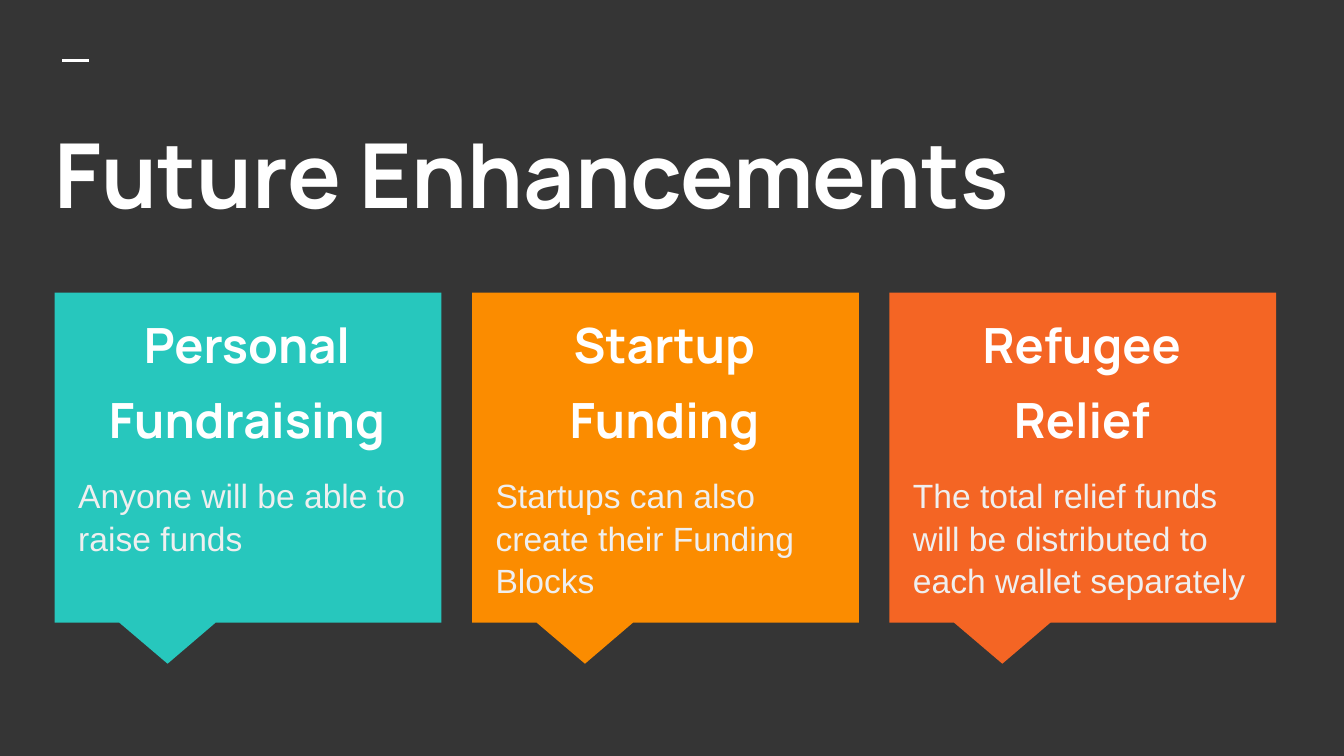
from pptx import Presentation
from pptx.dml.color import RGBColor
from pptx.enum.shapes import MSO_CONNECTOR, MSO_SHAPE
from pptx.enum.text import MSO_ANCHOR as ANCHOR, PP_ALIGN as ALIGN
from pptx.oxml.ns import qn
from pptx.util import Pt
from lxml import etree

DARK = RGBColor(0x35, 0x35, 0x35)
WHITE = RGBColor(0xFF, 0xFF, 0xFF)
PALE = RGBColor(0xEF, 0xEF, 0xEF)
TEAL = RGBColor(0x27, 0xC7, 0xBD)
AMBER = RGBColor(0xFB, 0x8C, 0x00)
ORANGE = RGBColor(0xF4, 0x65, 0x24)

CARDS = [
    (TEAL, ["Personal", "Fundraising"], "Anyone will be able to raise funds"),
    (AMBER, ["Startup", "Funding"],
     "Startups can also create their Funding Blocks"),
    (ORANGE, ["Refugee", "Relief"],
     "The total relief funds will be distributed to each wallet separately"),
]
CARD_LEFT, CARD_TOP, CARD_W, CARD_H, CARD_STEP = 29.3, 156.75, 207.2, 176.75, 223.6


def add_text(s, box, lines, size, font, color, bold=False, align=ALIGN.LEFT,
             anchor=ANCHOR.TOP, gap=0, spacing=1.0):
    tf = s.shapes.add_textbox(*map(Pt, box)).text_frame
    tf.word_wrap = True
    tf.vertical_anchor = anchor
    tf.margin_left = tf.margin_right = tf.margin_top = tf.margin_bottom = Pt(7.2)
    for i, line in enumerate(lines):
        p = tf.paragraphs[0] if i == 0 else tf.add_paragraph()
        p.text = line
        p.alignment = align
        p.line_spacing = spacing
        p.space_before = Pt(gap if i else 0)
        p.font.size, p.font.name, p.font.bold = Pt(size), font, bold
        p.font.color.rgb = color


def add_header(s, x, y, w):
    # Short accent rule
    rule = s.shapes.add_connector(
        MSO_CONNECTOR.STRAIGHT, Pt(x + 11), Pt(y), Pt(x + 25.5), Pt(y))
    rule.line.color.rgb = WHITE
    rule.line.width = Pt(1.5)
    etree.SubElement(rule._element.spPr, qn("a:effectLst"))
    # Title
    add_text(s, (x, y + 24, w, 80.6), ["Future Enhancements"], 48, "Manrope",
             WHITE, bold=True)


def add_card(s, x, y, w, h, color, heading, body):
    # Callout
    sp = s.shapes.add_shape(
        MSO_SHAPE.RECTANGULAR_CALLOUT, Pt(x), Pt(y), Pt(w), Pt(h))
    sp.adjustments[0], sp.adjustments[1] = -0.208, 0.625
    sp.shadow.inherit = False
    sp.fill.solid()
    sp.fill.fore_color.rgb = color
    sp.line.fill.background()
    # Heading and description
    add_text(s, (x + 5.5, y + 5.5, w - 12, 88), heading, 26, "Manrope", WHITE,
             bold=True, align=ALIGN.CENTER, anchor=ANCHOR.MIDDLE, gap=12, spacing=0.9)
    add_text(s, (x + 5.5, y + 89.5, w - 10, 74), [body], 18, "Arial", PALE,
             spacing=1.05)


def main():
    prs = Presentation()
    prs.slide_width, prs.slide_height = Pt(720), Pt(405)
    s = prs.slides.add_slide(prs.slide_layouts[6])
    s.background.fill.solid()
    s.background.fill.fore_color.rgb = DARK

    add_header(s, 22.3, 32.4, 679)
    for i, card in enumerate(CARDS):
        add_card(s, CARD_LEFT + i * CARD_STEP, CARD_TOP, CARD_W, CARD_H, *card)
    prs.save("out.pptx")


if __name__ == "__main__":
    main()
